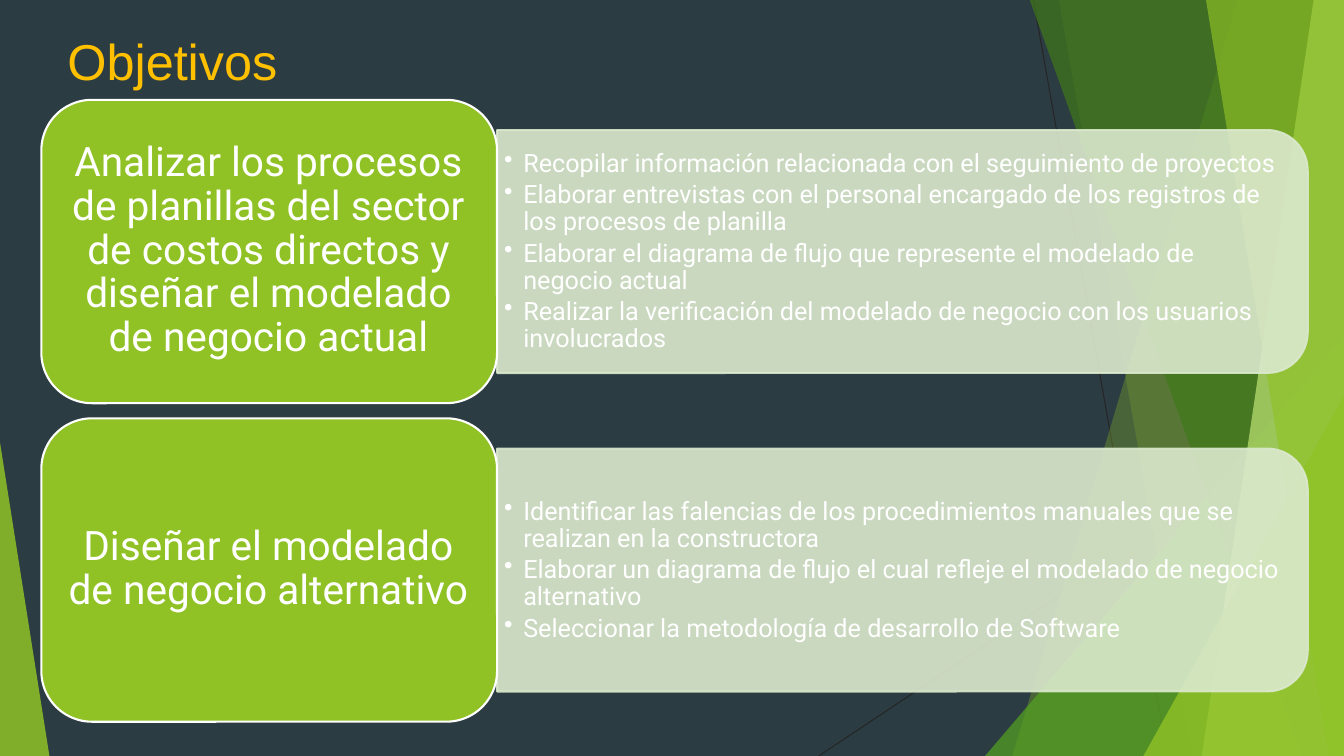
from dataclasses import dataclass

from lxml.etree import SubElement
from pptx import Presentation
from pptx.dml.color import RGBColor
from pptx.enum.shapes import MSO_CONNECTOR, MSO_SHAPE
from pptx.enum.text import MSO_ANCHOR as ANCHOR, PP_ALIGN as ALIGN
from pptx.oxml.ns import qn
from pptx.util import Pt

PX = 9144  # EMU per px, 100 px to the inch
WIDTH, HEIGHT = 1333, 750

SLATE = RGBColor(0x2C, 0x3C, 0x43)
CHARCOAL = RGBColor(0x26, 0x26, 0x26)
LIME = RGBColor(0x90, 0xC2, 0x26)
GREEN = RGBColor(0x54, 0xA0, 0x21)
FOREST = RGBColor(0x3F, 0x78, 0x19)
PALE_LIME = RGBColor(0xC0, 0xE4, 0x74)
MIST = RGBColor(0xDB, 0xE9, 0xCD)
AMBER = RGBColor(0xFF, 0xC0, 0x00)
WHITE = RGBColor(0xFF, 0xFF, 0xFF)


@dataclass
class Band:
    """Facet reaching from a slanted left edge to the right slide edge."""
    top_x: int
    bottom_x: int
    color: RGBColor
    alpha: int


@dataclass
class Triangle:
    """Facet standing on the bottom slide edge; apex 0 is left, 1 is right."""
    left: int
    top: int
    width: int
    apex: int
    color: RGBColor
    alpha: int


@dataclass
class Objective:
    heading: str
    tasks: list[str]


RAYS = [(1025, 0, 1158, HEIGHT), (WIDTH, 403, 812, HEIGHT)]
FACETS = [
    Band(1228, 1004, LIME, 30),
    Band(1050, 1183, LIME, 20),
    Triangle(977, 333, 356, 1, GREEN, 72),
    Band(1021, 1291, FOREST, 70),
    Band(1303, 1192, PALE_LIME, 70),
    Band(1196, 1318, LIME, 65),
    Triangle(1134, 393, 199, 1, LIME, 80),
    Triangle(0, 439, 49, 0, LIME, 85),
]
OBJECTIVES = [
    Objective(
        "Analizar los procesos de planillas del sector de costos directos y "
        "diseñar el modelado de negocio actual",
        ["Recopilar información relacionada con el seguimiento de proyectos",
         "Elaborar entrevistas con el personal encargado de los registros de "
         "los procesos de planilla",
         "Elaborar el diagrama de flujo que represente el modelado de "
         "negocio actual",
         "Realizar la verificación del modelado de negocio con los usuarios "
         "involucrados"]),
    Objective(
        "Diseñar el modelado de negocio alternativo",
        ["Identificar las falencias de los procedimientos manuales que se "
         "realizan en la constructora",
         "Elaborar un diagrama de flujo el cual refleje el modelado de "
         "negocio alternativo",
         "Seleccionar la metodología de desarrollo de Software"]),
]
FIRST_TOP, ROW_PITCH = 99, 316
CARD_LEFT, CARD_W, CARD_H = 41, 452, 301
PANEL_W, PANEL_H = 804, 241


def emu(*lengths: int) -> list[int]:
    return [round(n * PX) for n in lengths]


def set_alpha(fill, percent: int) -> None:
    for clr in fill.iter(qn("a:srgbClr")):
        SubElement(clr, qn("a:alpha")).set("val", str(percent * 1000))


def paint(sp, color: RGBColor, alpha: int = 100, line: RGBColor | None = None):
    sp.shadow.inherit = False
    sp.fill.solid()
    sp.fill.fore_color.rgb = color
    if line is None:
        sp.line.fill.background()
    else:
        sp.line.color.rgb = line
        sp.line.width = Pt(1.5)
    if alpha < 100:
        set_alpha(sp.element.spPr, alpha)
    return sp


def add_ray(s, x1: int, y1: int, x2: int, y2: int) -> None:
    ray = s.shapes.add_connector(MSO_CONNECTOR.STRAIGHT, *emu(x1, y1, x2, y2))
    ray.line.color.rgb = CHARCOAL
    ray.line.width = Pt(0.75)
    SubElement(ray.element.spPr, qn("a:effectLst"))


def add_facet(s, facet: Band | Triangle) -> None:
    if isinstance(facet, Band):
        outline = s.shapes.build_freeform(facet.top_x, -1, scale=PX)
        outline.add_line_segments([(WIDTH, -1), (WIDTH, HEIGHT), (facet.bottom_x, HEIGHT)])
        sp = outline.convert_to_shape()
    else:
        sp = s.shapes.add_shape(
            MSO_SHAPE.ISOSCELES_TRIANGLE,
            *emu(facet.left, facet.top, facet.width, HEIGHT - facet.top))
        sp.adjustments[0] = facet.apex
    paint(sp, facet.color, facet.alpha)


def add_text(s, paragraphs: list[str], left: int, top: int, width: int, height: int, *,
             size: float, color: RGBColor = WHITE, font: str = "Roboto",
             align: ALIGN = ALIGN.LEFT, anchor: ANCHOR = ANCHOR.MIDDLE,
             inset: tuple[int, int] = (10, 5), spacing: float = 1.0,
             after: float = 0, indent: int = 0) -> None:
    """Add a text box; an indent above zero makes the paragraphs bulleted."""
    tf = s.shapes.add_textbox(*emu(left, top, width, height)).text_frame
    tf.word_wrap = True
    tf.vertical_anchor = anchor
    tf.margin_left = tf.margin_right = inset[0] * PX
    tf.margin_top = tf.margin_bottom = inset[1] * PX
    for i, text in enumerate(paragraphs):
        p = tf.add_paragraph() if i else tf.paragraphs[0]
        p.alignment = align
        p.line_spacing = spacing
        p.space_after = Pt(after)
        if indent:
            pPr = p._p.get_or_add_pPr()
            pPr.set("marL", str(indent * PX))
            pPr.set("indent", str(-indent * PX))
            SubElement(pPr, qn("a:buChar")).set("char", "•")
        r = p.add_run()
        r.text = text
        r.font.name = font
        r.font.size = Pt(size)
        r.font.color.rgb = color


def add_objective(s, objective: Objective, top: int) -> None:
    right, middle = CARD_LEFT + CARD_W, top + CARD_H / 2
    # The panel is an upright tab turned a quarter so its round corners face right
    panel = s.shapes.add_shape(
        MSO_SHAPE.ROUND_2_SAME_RECTANGLE,
        *emu(right + (PANEL_W - PANEL_H) / 2, middle - PANEL_W / 2, PANEL_H, PANEL_W))
    panel.rotation = 90
    paint(panel, MIST, 90, line=MIST)
    add_text(s, objective.tasks, right, top + 42, 792, 218, size=18,
             inset=(7, 4), spacing=0.9, after=2.8, indent=19)
    card = s.shapes.add_shape(
        MSO_SHAPE.ROUNDED_RECTANGLE, *emu(CARD_LEFT, top, CARD_W, CARD_H))
    paint(card, LIME, line=WHITE)
    add_text(s, [objective.heading], CARD_LEFT + 14, top + 14, 423, 272, size=29,
             align=ALIGN.CENTER, inset=(12, 6), spacing=0.9)


def main() -> None:
    prs = Presentation()
    prs.slide_width, prs.slide_height = emu(WIDTH, HEIGHT)
    s = prs.slides.add_slide(prs.slide_layouts[6])
    s.background.fill.solid()
    s.background.fill.fore_color.rgb = SLATE
    for ray in RAYS:
        add_ray(s, *ray)
    for facet in FACETS:
        add_facet(s, facet)
    add_text(s, ["Objetivos"], 57, 21, 940, 74, size=36, color=AMBER,
             font="Arial", anchor=ANCHOR.BOTTOM)
    for i, objective in enumerate(OBJECTIVES):
        add_objective(s, objective, FIRST_TOP + i * ROW_PITCH)
    prs.save("out.pptx")


if __name__ == "__main__":
    main()
